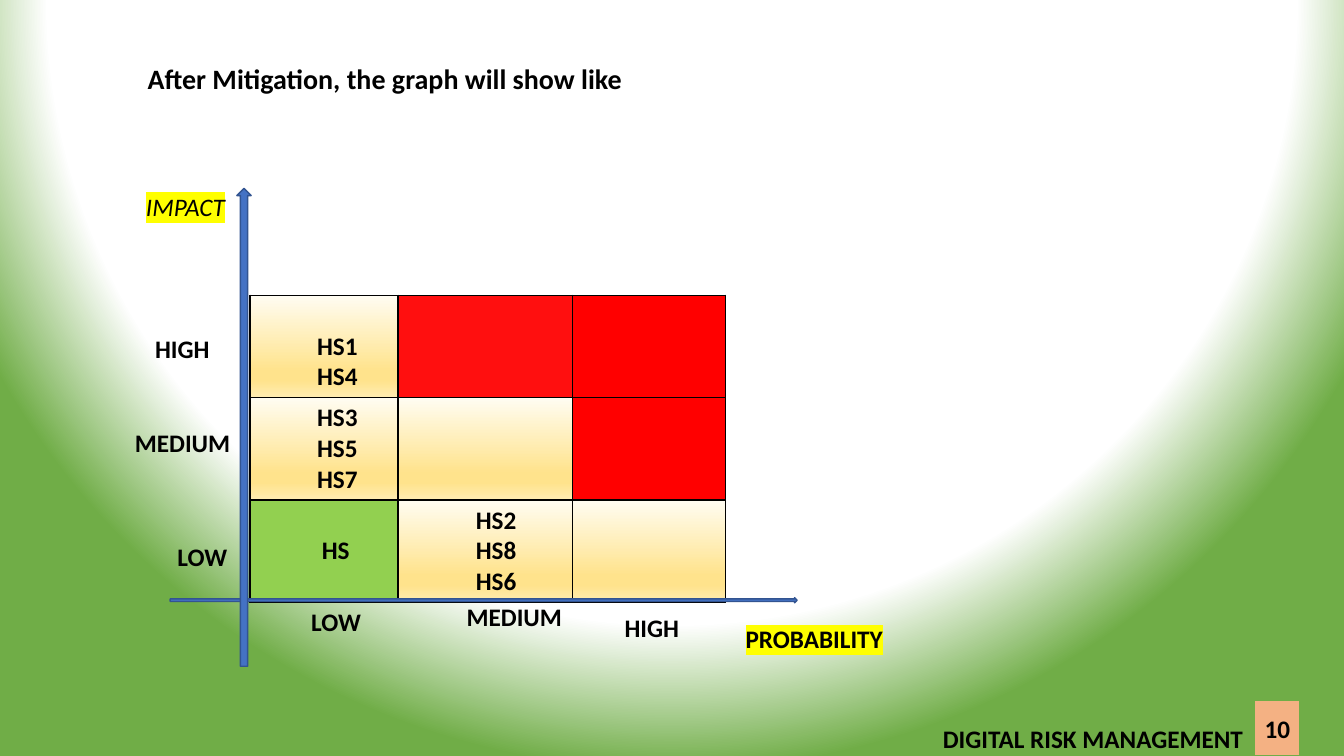
from dataclasses import dataclass

from lxml.etree import SubElement
from pptx import Presentation
from pptx.dml.color import RGBColor
from pptx.enum.shapes import MSO_SHAPE
from pptx.enum.text import MSO_ANCHOR, MSO_AUTO_SIZE, PP_ALIGN
from pptx.oxml.ns import qn
from pptx.slide import Slide
from pptx.table import _Cell
from pptx.text.text import TextFrame
from pptx.util import Cm, Pt


@dataclass(frozen=True)
class Theme:
    font: str = "Calibri"
    title_size: int = 20
    body_size: int = 18
    ink: str = "000000"
    highlight: str = "FFFF00"
    axis: str = "4472C4"
    axis_line: str = "325491"
    badge: str = "F4B183"
    frame: str = "70AD47"
    severe: str = "FF0000"
    minor: str = "92D050"
    backdrop: tuple = ((3, "FFFFFF"), (81, "FFFFFF"), (100, "70AD47"))
    moderate: tuple = ((0, "FFFCF2"), (74, "FFE38C"), (83, "FFE38C"), (100, "FFECB2"))


THEME = Theme()


@dataclass(frozen=True)
class Box:
    left: float
    top: float
    width: float
    height: float

    def lengths(self) -> tuple:
        return Cm(self.left), Cm(self.top), Cm(self.width), Cm(self.height)


@dataclass(frozen=True)
class Label:
    text: str
    box: Box
    bold: bool = True
    marked: bool = False
    footer: bool = False


@dataclass(frozen=True)
class Bar:
    preset: MSO_SHAPE
    box: Box
    fill: str
    line: str
    text: str = ""


@dataclass(frozen=True)
class Risk:
    fill: str | tuple
    hazards: tuple = ()
    indent: float = 0.25
    anchor: MSO_ANCHOR = MSO_ANCHOR.BOTTOM
    opacity: int = 100


# Content
TITLE = "After Mitigation, the graph will show like"
TITLE_BOX = Box(1.8, 1.42, 15.8, 1.12)

COLUMN_WIDTHS = (3.73, 4.39, 3.86)
ROW_HEIGHT = 2.58
MATRIX_BOX = Box(6.3, 7.44, sum(COLUMN_WIDTHS), 3 * ROW_HEIGHT)
MODERATE, SEVERE = Risk(THEME.moderate), Risk(THEME.severe)
RISK_MATRIX = (
    (Risk(THEME.moderate, ("HS1", "HS4"), 1.69), Risk(THEME.severe, opacity=94), SEVERE),
    (Risk(THEME.moderate, ("HS3", "HS5", "HS7"), 1.69), MODERATE, SEVERE),
    (Risk(THEME.minor, ("HS",), 1.81, MSO_ANCHOR.MIDDLE),
     Risk(THEME.moderate, ("HS2", "HS8", "HS6"), 1.96), MODERATE),
)

BARS = (
    Bar(MSO_SHAPE.RIGHT_ARROW, Box(4.29, 15.06, 15.8, 0.13), THEME.axis, THEME.axis_line),
    Bar(MSO_SHAPE.UP_ARROW, Box(5.97, 4.75, 0.36, 12.04), THEME.axis, THEME.axis_line),
    Bar(MSO_SHAPE.RECTANGLE, Box(31.62, 17.65, 1.14, 1.4), THEME.badge, THEME.frame, "10"),
)

LABELS = (
    Label("PROBABILITY", Box(18.54, 15.47, 4.24, 1.12), marked=True),
    Label("IMPACT", Box(3.43, 4.57, 2.59, 1.09), bold=False, marked=True),
    Label("LOW", Box(7.59, 15.04, 1.78, 1.09)),
    Label("LOW", Box(4.22, 13.41, 1.78, 1.09)),
    Label("MEDIUM", Box(11.51, 14.91, 2.95, 1.09)),
    Label("MEDIUM", Box(3.15, 10.52, 2.95, 1.09)),
    Label("HIGH", Box(15.49, 15.19, 1.9, 1.09)),
    Label("HIGH", Box(3.66, 8.15, 1.9, 1.09)),
    Label("DIGITAL RISK MANAGEMENT", Box(23.47, 18.11, 8.15, 1.02), footer=True),
)


def style_text(frame: TextFrame, size: int = THEME.body_size, bold: bool = True) -> None:
    for paragraph in frame.paragraphs:
        for run in paragraph.runs:
            run.font.name = THEME.font
            run.font.size = Pt(size)
            run.font.bold = bold
            run.font.italic = not bold
            run.font.color.rgb = RGBColor.from_string(THEME.ink)


def add_solid(parent, color: str, opacity: int = 100) -> None:
    srgb = SubElement(SubElement(parent, qn("a:solidFill")), qn("a:srgbClr"), val=color)
    if opacity < 100:
        SubElement(srgb, qn("a:alpha"), val=str(opacity * 1000))


def add_gradient(parent, stops: tuple):
    gradient = SubElement(parent, qn("a:gradFill"), rotWithShape="1")
    stop_list = SubElement(gradient, qn("a:gsLst"))
    for position, color in stops:
        stop = SubElement(stop_list, qn("a:gs"), pos=str(position * 1000))
        SubElement(stop, qn("a:srgbClr"), val=color)
    return gradient


def paint_background(slide: Slide) -> None:
    common = slide.element.cSld
    background = SubElement(common, qn("p:bg"))
    common.insert(0, background)
    properties = SubElement(background, qn("p:bgPr"))
    gradient = add_gradient(properties, THEME.backdrop)
    circle = SubElement(gradient, qn("a:path"), path="circle")
    SubElement(circle, qn("a:fillToRect"), l="50000", t="-80000", r="50000", b="180000")
    SubElement(properties, qn("a:effectLst"))


def fill_cell(cell: _Cell, risk: Risk) -> None:
    cell.text_frame.text = "\n".join(risk.hazards)
    style_text(cell.text_frame)
    cell.margin_left = Cm(risk.indent)
    cell.vertical_anchor = risk.anchor
    properties = cell._tc.get_or_add_tcPr()
    for side in ("a:lnL", "a:lnR", "a:lnT", "a:lnB"):
        add_solid(SubElement(properties, qn(side), w=str(Pt(1))), THEME.ink)
    if isinstance(risk.fill, tuple):
        SubElement(add_gradient(properties, risk.fill), qn("a:lin"), ang="5400000", scaled="0")
    else:
        add_solid(properties, risk.fill, risk.opacity)


def add_matrix(slide: Slide) -> None:
    matrix = slide.shapes.add_table(3, 3, *MATRIX_BOX.lengths()).table
    matrix.first_row = matrix.horz_banding = False
    for column, width in zip(matrix.columns, COLUMN_WIDTHS):
        column.width = Cm(width)
    for row, risks in zip(matrix.rows, RISK_MATRIX):
        row.height = Cm(ROW_HEIGHT)
        for cell, risk in zip(row.cells, risks):
            fill_cell(cell, risk)


def add_bar(slide: Slide, bar: Bar) -> None:
    shape = slide.shapes.add_shape(bar.preset, *bar.box.lengths())
    shape.shadow.inherit = False
    shape.fill.solid()
    shape.fill.fore_color.rgb = RGBColor.from_string(bar.fill)
    shape.line.color.rgb = RGBColor.from_string(bar.line)
    shape.line.width = Pt(1)
    if bar.text:
        shape.text_frame.text = bar.text
        shape.text_frame.word_wrap = False
        shape.text_frame.vertical_anchor = MSO_ANCHOR.MIDDLE
        shape.text_frame.paragraphs[0].alignment = PP_ALIGN.CENTER
        style_text(shape.text_frame)


def add_label(slide: Slide, label: Label) -> None:
    frame = slide.shapes.add_textbox(*label.box.lengths()).text_frame
    frame.text = label.text
    frame.word_wrap = label.marked
    frame.auto_size = MSO_AUTO_SIZE.SHAPE_TO_FIT_TEXT
    style_text(frame, bold=label.bold)
    paragraph = frame.paragraphs[0]
    if label.footer:
        paragraph.alignment = PP_ALIGN.CENTER
    else:
        paragraph.line_spacing = 1.15
        paragraph.space_after = Pt(10)
    if label.marked:
        properties = paragraph.runs[0]._r.get_or_add_rPr()
        highlight = SubElement(properties, qn("a:highlight"))
        SubElement(highlight, qn("a:srgbClr"), val=THEME.highlight)
        properties.find(qn("a:solidFill")).addnext(highlight)


def set_title(slide: Slide) -> None:
    title = slide.shapes.title
    title.left, title.top, title.width, title.height = TITLE_BOX.lengths()
    title.text_frame.text = TITLE
    title.text_frame.vertical_anchor = MSO_ANCHOR.TOP
    title.text_frame.auto_size = MSO_AUTO_SIZE.SHAPE_TO_FIT_TEXT
    title.text_frame.paragraphs[0].alignment = PP_ALIGN.CENTER
    style_text(title.text_frame, THEME.title_size)


def main() -> None:
    deck = Presentation()
    deck.slide_width, deck.slide_height = Cm(33.87), Cm(19.05)
    slide = deck.slides.add_slide(deck.slide_layouts.get_by_name("Title Only"))
    paint_background(slide)
    set_title(slide)
    add_matrix(slide)
    for bar in BARS:
        add_bar(slide, bar)
    for label in LABELS:
        add_label(slide, label)
    deck.save("out.pptx")


if __name__ == "__main__":
    main()
